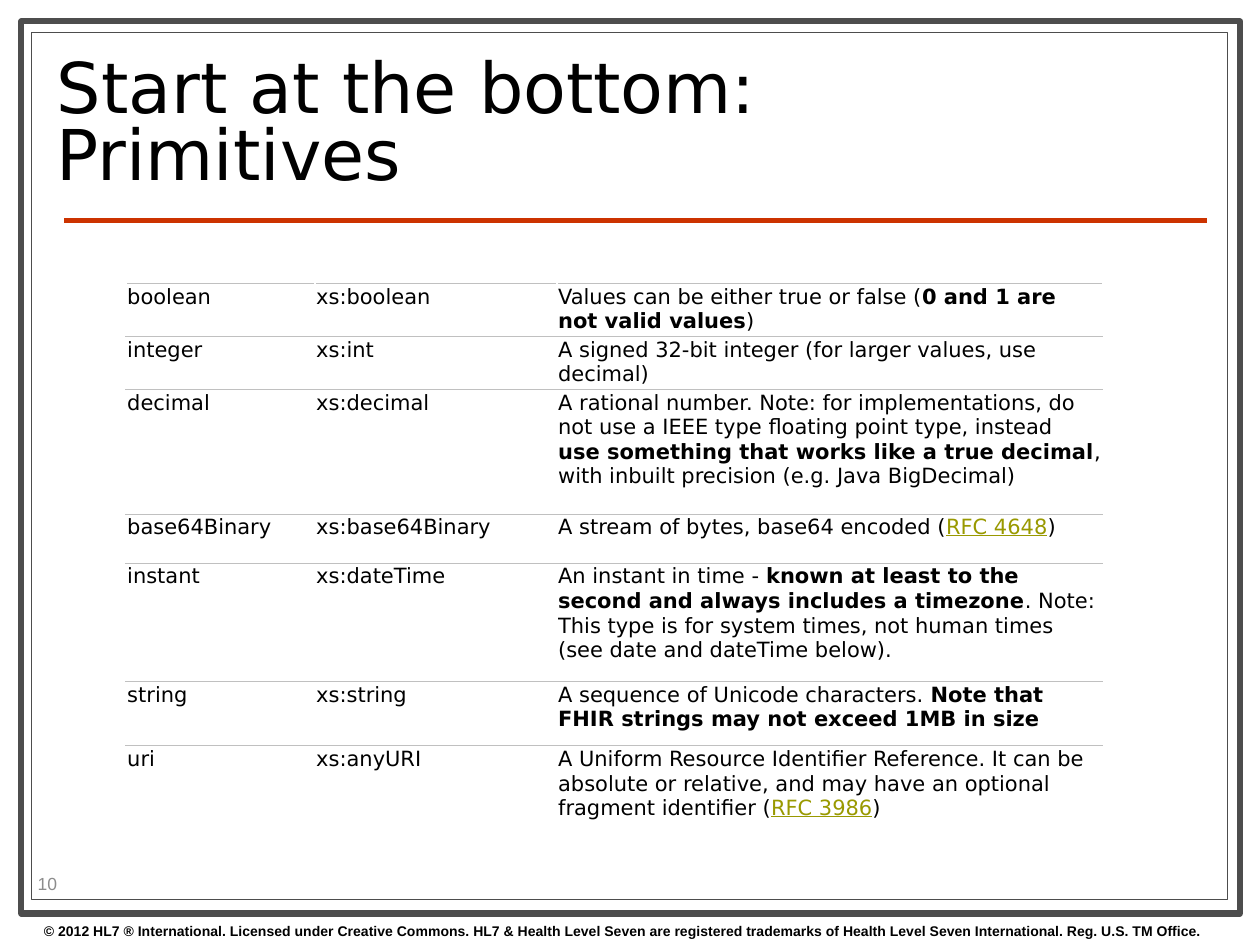
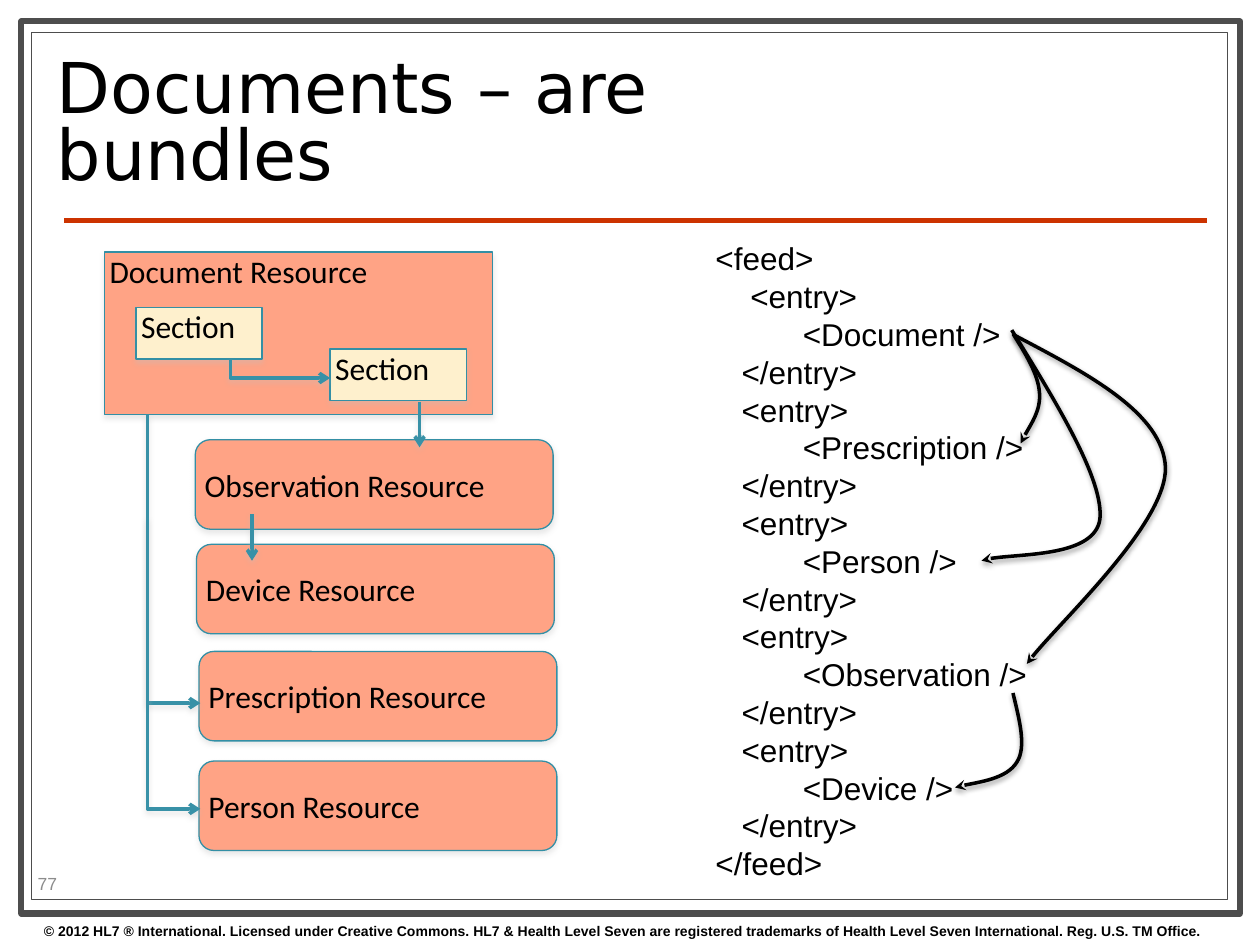
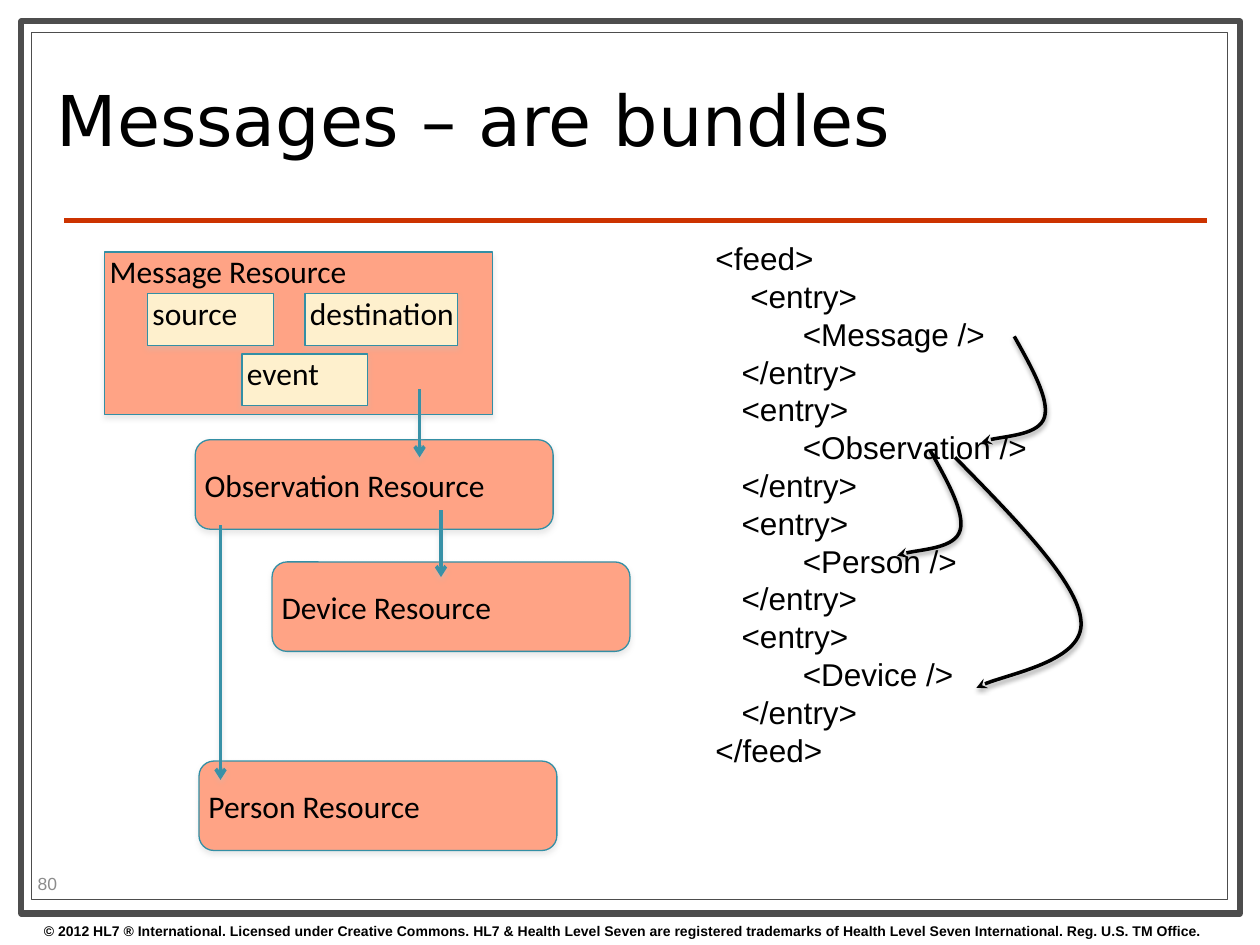
"""Build three slides about resource primitives, documents and messages."""
from dataclasses import dataclass
from typing import Any, NamedTuple

import lxml.etree
import pptx
import pptx.dml.color
import pptx.enum.shapes
import pptx.enum.text
import pptx.oxml.ns
import pptx.util
from pptx.util import Inches

BLACK, WHITE = "000000", "FFFFFF"
FRAME, RULE, NUMBER = "4D4D4D", "CC3300", "8C8C8C"
SALMON, CREAM, OUTLINE, TEAL = "FFA385", "FEF0CD", "338FA5", "3891A7"
SILVER, OLIVE = "C0C0C0", "999900"
COPYRIGHT = (
    "© 2012 HL7 ® International. Licensed under Creative Commons. "
    "HL7 & Health Level Seven are registered trademarks of "
    "Health Level Seven International. Reg. U.S. TM Office."
)
SHAPES = pptx.enum.shapes.MSO_SHAPE
ANCHORS = pptx.enum.text.MSO_ANCHOR
Point = tuple[float, float]


class Place(NamedTuple):
    """Left, top, width and height in inches."""

    left: float
    top: float
    width: float
    height: float

    def lengths(self) -> list[int]:
        """Return the four values as lengths."""
        return [Inches(value) for value in self]


class Span(NamedTuple):
    """A stretch of cell text with its emphasis."""

    text: str
    bold: bool = False
    reference: bool = False


class Primitive(NamedTuple):
    """One table row: type name, schema type, meaning and row height."""

    name: str
    schema: str
    meaning: list[Span]
    height: float


@dataclass
class Block:
    """A labelled box: a rounded resource or a square part."""

    label: str
    place: Place
    color: str = SALMON
    rounded: bool = False


def resource(label: str, left: float, top: float) -> Block:
    """Describe a rounded resource box of the common size."""
    return Block(label, Place(left, top, 2.84, 0.71), rounded=True)


def part(label: str, left: float, top: float, width: float = 1) -> Block:
    """Describe a cream box inside the main resource."""
    return Block(label, Place(left, top, width, 0.41), CREAM)


@dataclass
class Bundle:
    """A diagram slide: boxes, arrows and the feed listing."""

    title: str
    number: int
    blocks: list[Block]
    straights: list[tuple[Point, Point]]
    elbows: list[list[Point]]
    entries: list[str]
    listing_height: float
    curves: list[list[Point]]


def shifted(points: list[Point], right: float, down: float) -> list[Point]:
    """Return the points moved by an offset."""
    return [(x + right, y + down) for x, y in points]


PRIMITIVES = [
    Primitive("boolean", "xs:boolean", [
        Span("Values can be either true or false ("),
        Span("0 and 1 are not valid values", bold=True), Span(")")], 0.39),
    Primitive("integer", "xs:int", [
        Span("A signed 32-bit integer (for larger values, use decimal)")], 0.39),
    Primitive("decimal", "xs:decimal", [
        Span("A rational number. Note: for implementations, do not use a IEEE type "
             "floating point type, instead "),
        Span("use something that works like a true decimal", bold=True),
        Span(", with inbuilt precision (e.g. Java BigDecimal)")], 0.99),
    Primitive("base64Binary", "xs:base64Binary", [
        Span("A stream of bytes, base64 encoded ("),
        Span("RFC 4648", reference=True), Span(")")], 0.39),
    Primitive("instant", "xs:dateTime", [
        Span("An instant in time - "),
        Span("known at least to the second and always includes a timezone", bold=True),
        Span(". Note: This type is for system times, not human times "
             "(see date and dateTime below).")], 0.94),
    Primitive("string", "xs:string", [
        Span("A sequence of Unicode characters. "),
        Span("Note that FHIR strings may not exceed 1MB in size", bold=True)], 0.51),
    Primitive("uri", "xs:anyURI", [
        Span("A Uniform Resource Identifier Reference. It can be absolute or relative, "
             "and may have an optional fragment identifier ("),
        Span("RFC 3986", reference=True), Span(")")], 0.76),
]

MAIN_PLACE = Place(0.83, 2, 3.08, 1.29)
HOOK = [(8.05, 2.67), (8.19, 2.92), (8.33, 3.17), (8.29, 3.31),
        (8.25, 3.45), (7.87, 3.47), (7.79, 3.51)]

DOCUMENTS = Bundle(
    "Documents – are bundles", 77,
    [
        resource("Observation Resource", 1.55, 3.49),
        Block("Document Resource", MAIN_PLACE),
        part("Section", 1.08, 2.44),
        part("Section", 2.62, 2.77, 1.08),
        resource("Device Resource", 1.56, 4.32),
        resource("Person Resource", 1.58, 6.04),
        resource("Prescription Resource", 1.58, 5.17),
    ],
    [((3.33, 3.19), (3.33, 3.55)), ((2, 4.08), (2, 4.45))],
    [
        [(1.83, 2.85), (1.83, 3), (2.62, 3)],
        [(1.17, 3.29), (1.17, 5.58), (1.59, 5.58)],
        [(1.17, 4.12), (1.17, 6.42), (1.59, 6.42)],
    ],
    ["Document", "Prescription", "Person", "Observation", "Device"], 5.25,
    [
        [(8.04, 2.65), (8.14, 2.81), (8.24, 2.97), (8.25, 3.12),
         (8.26, 3.26), (8.13, 3.45), (8.1, 3.52)],
        [(8.03, 2.62), (8.4, 3.22), (8.76, 3.81), (8.73, 4.12),
         (8.69, 4.42), (7.95, 4.39), (7.79, 4.45)],
        [(8.05, 2.66), (8.64, 2.97), (9.23, 3.28), (9.25, 3.71),
         (9.26, 4.15), (8.32, 5.02), (8.15, 5.27)],
        [(8.04, 5.5), (8.09, 5.71), (8.15, 5.93), (8.07, 6.05),
         (7.99, 6.18), (7.64, 6.23), (7.58, 6.25)],
    ],
)

MESSAGES = Bundle(
    "Messages – are bundles", 80,
    [
        resource("Observation Resource", 1.55, 3.49),
        Block("Message Resource", MAIN_PLACE),
        part("source", 1.17, 2.33),
        part("destination", 2.42, 2.33, 1.21),
        resource("Device Resource", 2.16, 4.46),
        resource("Person Resource", 1.58, 6.04),
        part("event", 1.92, 2.81),
    ],
    [((3.33, 3.09), (3.33, 3.63)), ((3.5, 4.05), (3.5, 4.58)),
     ((1.75, 4.17), (1.75, 6.19))],
    [],
    ["Message", "Observation", "Person", "Device"], 4.34,
    [
        HOOK,
        [(7.58, 3.63), (8.07, 4.13), (8.56, 4.63), (8.58, 4.93),
         (8.61, 5.24), (7.89, 5.37), (7.75, 5.46)],
        shifted(HOOK, -0.67, 0.9),
    ],
)


def rgb(color: str) -> pptx.dml.color.RGBColor:
    """Turn a hex string into a colour."""
    return pptx.dml.color.RGBColor.from_string(color)


def add_node(parent: Any, tag: str, **attributes: str) -> Any:
    """Append a drawing element to a parent."""
    return lxml.etree.SubElement(parent, pptx.oxml.ns.qn(tag), attributes)


def set_font(font: Any, name: str, size: float, color: str = BLACK,
             bold: bool = False) -> None:
    """Set name, size, colour and weight of a font."""
    font.name = name
    font.size = pptx.util.Pt(size)
    font.bold = bold
    font.color.rgb = rgb(color)


def set_line(shape: Any, color: str, width: float) -> None:
    """Set the outline colour and width in points."""
    shape.line.color.rgb = rgb(color)
    shape.line.width = pptx.util.Pt(width)


def add_effects(shape: Any, color: str | None = None, opacity: int = 38,
                distance: float = 1.6) -> None:
    """Give a shape a soft shadow below it, or none without a colour."""
    effects = add_node(shape.element.spPr, "a:effectLst")
    if color:
        shadow = add_node(effects, "a:outerShdw", blurRad=str(pptx.util.Pt(3)),
                          dist=str(pptx.util.Pt(distance)), dir="5400000",
                          rotWithShape="0")
        tint = add_node(shadow, "a:srgbClr", val=color)
        add_node(tint, "a:alpha", val=str(opacity * 1000))


def finish_arrow(arrow: Any, color: str, head: str, shadow: str) -> None:
    """Style a line as an arrow with a shadow."""
    set_line(arrow, color, 2)
    add_node(arrow.line._get_or_add_ln(), "a:tailEnd", type=head)
    add_effects(arrow, shadow)


def add_line(page: Any, start: Point, end: Point) -> Any:
    """Add a straight connector."""
    ends = [Inches(value) for value in (*start, *end)]
    return page.shapes.add_connector(pptx.enum.shapes.MSO_CONNECTOR.STRAIGHT, *ends)


def add_outline(page: Any, points: list[Point]) -> Any:
    """Add an open unfilled path through the points."""
    lengths = [(Inches(x), Inches(y)) for x, y in points]
    builder = page.shapes.build_freeform(*lengths[0])
    builder.add_line_segments(lengths[1:], close=False)
    outline = builder.convert_to_shape()
    outline.fill.background()
    return outline


def bend(outline: Any) -> None:
    """Turn each three segments of a path into one cubic curve."""
    curve = outline.element.find(".//" + pptx.oxml.ns.qn("a:path"))
    segments = curve.findall(pptx.oxml.ns.qn("a:lnTo"))
    for first in range(0, len(segments), 3):
        cubic = add_node(curve, "a:cubicBezTo")
        for segment in segments[first:first + 3]:
            cubic.append(segment[0])
            curve.remove(segment)


def add_text(page: Any, place: Place, lines: list[str], size: float,
             color: str = BLACK, bold: bool = False, wrap: bool = True) -> Any:
    """Add a text box in Arial, one paragraph a line."""
    box = page.shapes.add_textbox(*place.lengths())
    frame = box.text_frame
    frame.word_wrap = wrap
    frame.text = "\n".join(lines)
    for para in frame.paragraphs:
        set_font(para.font, "Arial", size, color, bold)
    return box


def add_block(page: Any, block: Block) -> None:
    """Draw a labelled box."""
    kind = SHAPES.ROUNDED_RECTANGLE if block.rounded else SHAPES.RECTANGLE
    box = page.shapes.add_shape(kind, *block.place.lengths())
    box.fill.solid()
    box.fill.fore_color.rgb = rgb(block.color)
    set_line(box, OUTLINE, 0.75)
    add_effects(box, SILVER, 35, 1.8)
    frame = box.text_frame
    frame.word_wrap = True
    frame.margin_left = Inches(0.04)
    frame.margin_top = frame.margin_right = frame.margin_bottom = 0
    frame.vertical_anchor = ANCHORS.MIDDLE if block.rounded else ANCHORS.TOP
    para = frame.paragraphs[0]
    para.text = block.label
    para.alignment = pptx.enum.text.PP_ALIGN.LEFT
    set_font(para.font, "Calibri", 18)


def decorate_layout(layout: Any, page: Any) -> None:
    """Draw the shared frame, rule and copyright line and move them to the layout."""
    decorations = []
    for place, width in ((Place(0.17, 0.17, 9.67, 7.08), 3.5),
                         (Place(0.25, 0.26, 9.49, 6.88), 0.75)):
        border = page.shapes.add_shape(SHAPES.RECTANGLE, *place.lengths())
        border.fill.solid()
        border.fill.fore_color.rgb = rgb(WHITE)
        set_line(border, FRAME, width)
        add_effects(border)
        decorations.append(border)
    rule = add_line(page, (0.51, 1.75), (9.58, 1.75))
    set_line(rule, RULE, 3)
    add_effects(rule)
    decorations.append(rule)
    decorations.append(add_text(page, Place(0.25, 7.27, 10, 0.23), [COPYRIGHT], 8, bold=True))
    for position, shape in enumerate(decorations, start=2):
        layout.shapes.element.insert(position, shape.element)


def set_heading(page: Any, title: str, number: int) -> None:
    """Fill the title and add the slide number."""
    heading = page.shapes.title
    heading.left, heading.top, heading.width, heading.height = Place(
        0.35, 0.36, 7.17, 1.29).lengths()
    frame = heading.text_frame
    frame.word_wrap = True
    frame.auto_size = pptx.enum.text.MSO_AUTO_SIZE.NONE
    frame.vertical_anchor = ANCHORS.MIDDLE
    para = frame.paragraphs[0]
    para.text = title
    para.alignment = pptx.enum.text.PP_ALIGN.LEFT
    para.line_spacing = 0.8
    set_font(para.font, "DejaVu Sans", 40)
    box = add_text(page, Place(0.2, 6.89, 0.79, 0.24), [str(number)], 10, NUMBER)
    box.text_frame.vertical_anchor = ANCHORS.MIDDLE


def fill_cell(cell: Any, spans: list[Span], sides: list[str]) -> None:
    """Write spans into a cell and rule the given sides."""
    for side in sides:
        border = add_node(cell._tc.get_or_add_tcPr(), side, w=str(pptx.util.Pt(0.6)))
        add_node(add_node(border, "a:solidFill"), "a:srgbClr", val=SILVER)
    cell.fill.background()
    cell.margin_left = cell.margin_right = Inches(0.01)
    cell.margin_top = cell.margin_bottom = Inches(0.01)
    para = cell.text_frame.paragraphs[0]
    set_font(para.font, "DejaVu Sans", 12)
    for span in spans:
        run = para.add_run()
        run.text = span.text
        set_font(run.font, "DejaVu Sans", 12, OLIVE if span.reference else BLACK, span.bold)
        run.font.underline = span.reference


def add_primitives(page: Any) -> None:
    """Add the table of primitive types."""
    place = Place(1, 2.25, 7.75, sum(row.height for row in PRIMITIVES))
    table = page.shapes.add_table(len(PRIMITIVES), 3, *place.lengths()).table
    table.first_row = table.horz_banding = False
    for column, width in zip(table.columns, (1.5, 1.92, 4.33)):
        column.width = Inches(width)
    for index, primitive in enumerate(PRIMITIVES):
        row = table.rows[index]
        row.height = Inches(primitive.height)
        sides = ["a:lnT"] if primitive is PRIMITIVES[-1] else ["a:lnT", "a:lnB"]
        contents = ([Span(primitive.name)], [Span(primitive.schema)], primitive.meaning)
        for cell, spans in zip(row.cells, contents):
            fill_cell(cell, spans, sides)


def feed_lines(entries: list[str]) -> list[str]:
    """Write the feed listing for the named entries."""
    lines = ["<feed>"]
    for index, entry in enumerate(entries):
        lines += ["   <entry>" if index else "    <entry>",
                  f"          <{entry} />", "   </entry>"]
    return lines + ["</feed>"]


def add_bundle(page: Any, bundle: Bundle) -> None:
    """Draw the boxes, arrows and listing of a bundle."""
    for block in bundle.blocks:
        add_block(page, block)
    for points in bundle.elbows:
        finish_arrow(add_outline(page, points), TEAL, "arrow", SILVER)
    for start, end in bundle.straights:
        finish_arrow(add_line(page, start, end), TEAL, "arrow", SILVER)
    listing = add_text(page, Place(5.58, 1.85, 2.7, bundle.listing_height),
                       feed_lines(bundle.entries), 18, wrap=False)
    listing.text_frame.auto_size = pptx.enum.text.MSO_AUTO_SIZE.SHAPE_TO_FIT_TEXT
    for points in bundle.curves:
        outline = add_outline(page, points)
        bend(outline)
        finish_arrow(outline, BLACK, "stealth", BLACK)


def main() -> None:
    """Build and save the deck."""
    deck = pptx.Presentation()
    deck.slide_width, deck.slide_height = Inches(10), Inches(7.5)
    layout = deck.slide_layouts[5]
    page = deck.slides.add_slide(layout)
    decorate_layout(layout, page)
    set_heading(page, "Start at the bottom: Primitives", 10)
    add_primitives(page)
    for bundle in (DOCUMENTS, MESSAGES):
        page = deck.slides.add_slide(layout)
        set_heading(page, bundle.title, bundle.number)
        add_bundle(page, bundle)
    deck.save("out.pptx")


if __name__ == "__main__":
    main()
